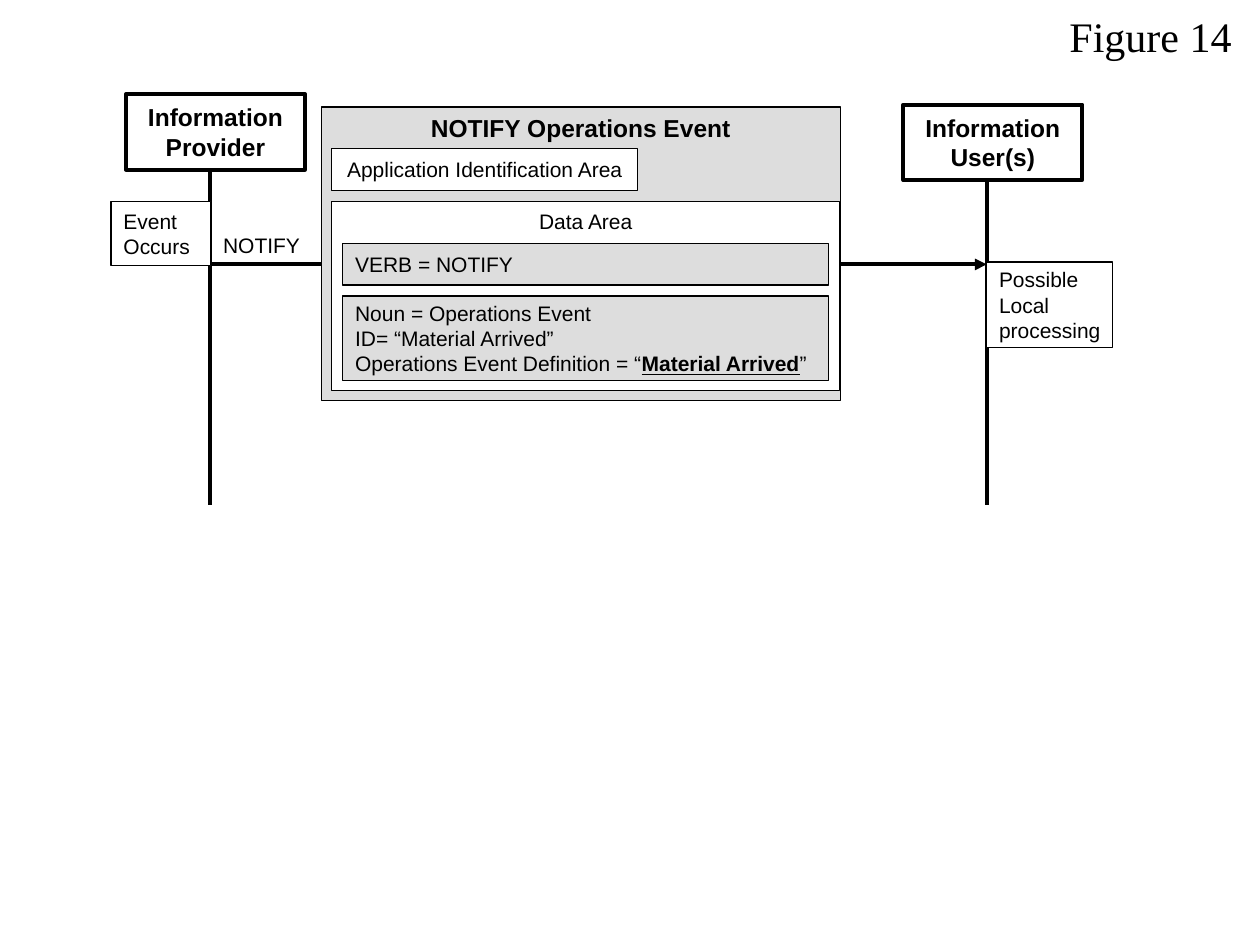
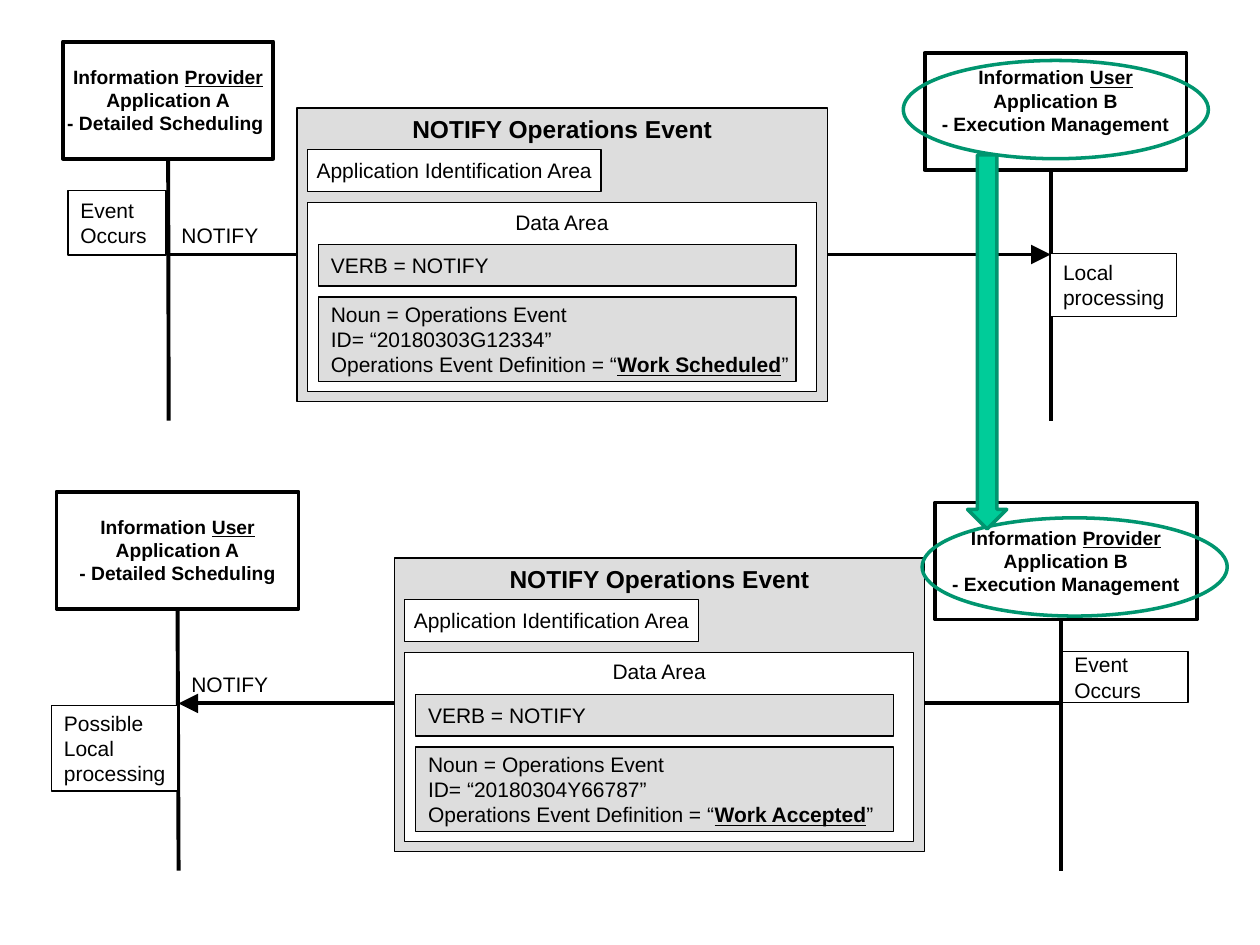
from dataclasses import dataclass

from lxml import etree
from pptx import Presentation
from pptx.dml.color import RGBColor as Rgb
from pptx.enum.shapes import MSO_CONNECTOR as Link, MSO_SHAPE as Kind
from pptx.enum.text import MSO_ANCHOR as Anchor, MSO_AUTO_SIZE as Fit, PP_ALIGN as Align
from pptx.oxml.ns import qn
from pptx.util import Cm, Pt

# Lengths are centimetres. Text between underscores is bold and underlined.
FIGURE = ("Figure 14", (21.31, 0.08, 3.81, 1.27))

ARRIVED = dict(
    heads=[
        dict(lines=["Information Provider"], at=(2.54, 1.9, 3.61, 1.52)),
        dict(lines=["Information User(s)"], at=(18.21, 2.11, 3.61, 1.52)),
    ],
    lives=(4.24, 19.89), end=10.19, msg=5.33, back=False, tip="med",
    notes=[
        (["Possible", "Local", "processing"], (19.89, 5.28, 2.54, 1.73)),
        (["Event", "Occurs"], (2.24, 4.06, 2.01, 1.3)),
    ],
    panel=(6.48, 2.16), widths=(10.46, 6.17, 10.24, 9.8),
    ident="Material Arrived", event="Material Arrived",
)

WIDE = (10.69, 5.92, 10.26, 9.63)

SCHEDULED = dict(
    heads=[
        dict(lines=["Information _Provider_", "Application A", "- Detailed Scheduling "],
             at=(1.27, 0.84, 4.24, 2.36), tight=True),
        dict(lines=["Information _User_", "Application B", "- Execution Management"],
             at=(18.64, 1.07, 5.28, 2.36), tight=True, lift=0.45),
    ],
    lives=(3.4, 21.18), end=8.48, msg=5.13, back=False, tip="lg",
    notes=[
        (["Local", "processing"], (21.18, 5.11, 2.54, 1.27)),
        (["Event", "Occurs"], (1.37, 3.84, 1.98, 1.3)),
    ],
    panel=(5.99, 2.18), widths=WIDE,
    ident="20180303G12334", event="Work Scheduled",
)

ACCEPTED = dict(
    heads=[
        dict(lines=["Information _User_", "Application A", "- Detailed Scheduling"],
             at=(1.14, 9.91, 4.88, 2.36), tight=True),
        dict(lines=["Information _Provider_", "Application B", "- Execution Management"],
             at=(18.85, 10.13, 5.28, 2.36), tight=True),
    ],
    lives=(3.6, 21.38), end=17.55, msg=14.18, back=True, tip="lg",
    notes=[
        (["Possible", "Local", "processing"], (1.04, 14.22, 2.54, 1.73)),
        (["Event", "Occurs"], (21.41, 13.13, 2.54, 1.04)),
    ],
    panel=(7.95, 11.25), widths=WIDE,
    ident="20180304Y66787", event="Work Accepted",
)

RINGS = [(18.21, 1.22, 6.15, 1.98), (18.59, 10.44, 6.15, 1.98)]
TURN = (16.13, 6.5, 7.54, 0.79)


@dataclass(frozen=True)
class Theme:
    ink: Rgb = Rgb(0, 0, 0)
    paper: Rgb = Rgb(255, 255, 255)
    grey: Rgb = Rgb.from_string("DDDDDD")
    green: Rgb = Rgb.from_string("00CC99")
    rim: Rgb = Rgb.from_string("00956F")
    sans: str = "Arial"
    serif: str = "Times New Roman"
    figure: int = 24
    head: int = 14
    body: int = 12
    small: int = 11
    thick: float = 2.25
    ring: float = 2
    thin: float = 0.75


T = Theme()


def cms(at):
    return [Cm(v) for v in at]


def write(frame, lines, size=T.body, bold=False, align=Align.LEFT,
          anchor=Anchor.MIDDLE, wrap=False, face=T.sans):
    frame.word_wrap = wrap
    frame.vertical_anchor = anchor
    for i, line in enumerate(lines):
        para = frame.add_paragraph() if i else frame.paragraphs[0]
        para.alignment = align
        font = para.font
        font.name, font.size, font.bold = face, Pt(size), bold
        font.color.rgb = T.ink
        for j, part in enumerate(line.split("_")):
            if part:
                run = para.add_run()
                run.text = part
                if j % 2:
                    run.font.bold = run.font.underline = True


def draw(shapes, at, kind=Kind.RECTANGLE, fill=T.paper, line=T.ink, width=T.thin):
    shape = shapes.add_shape(kind, *cms(at))
    shape.shadow.inherit = False
    if fill is None:
        shape.fill.background()
    else:
        shape.fill.solid()
        shape.fill.fore_color.rgb = fill
    shape.line.color.rgb = line
    shape.line.width = Pt(width)
    return shape


def box(shapes, at, lines, fill=T.paper, **style):
    shape = draw(shapes, at, fill=fill)
    write(shape.text_frame, lines, **style)


def label(slide, text, at, **style):
    frame = slide.shapes.add_textbox(*cms(at)).text_frame
    write(frame, [text], anchor=Anchor.TOP, **style)
    frame.auto_size = Fit.SHAPE_TO_FIT_TEXT


def rule(slide, start, stop, tip=None):
    """Add a thick line, with an arrowhead of size tip at its end."""
    line = slide.shapes.add_connector(Link.STRAIGHT, *cms(start + stop))
    line.line.color.rgb = T.ink
    line.line.width = Pt(T.thick)
    if tip:
        etree.SubElement(line.line._get_or_add_ln(), qn("a:tailEnd"),
                         type="triangle", w=tip, len=tip)
    etree.SubElement(line._element.spPr, qn("a:effectLst"))
    return line


def head(slide, lines, at, tight=False, lift=0):
    shape = draw(slide.shapes, at, width=T.thick)
    frame = shape.text_frame
    if tight:
        frame.margin_left = frame.margin_right = frame.margin_top = 0
        frame.margin_bottom = Cm(lift)
    write(frame, lines, size=T.small if tight else T.head, bold=True,
          align=Align.CENTER, wrap=not tight)
    return shape


def panel(slide, left, top, widths, ident, event):
    """Draw the nested message areas as one group."""
    full, app, data, row = widths
    noun = ["Noun = Operations Event", f"ID= “{ident}”",
            f"Operations Event Definition = “_{event}_”"]
    title = dict(align=Align.CENTER, anchor=Anchor.TOP)
    parts = [  # dx, dy, width, height, lines, style
        (0, 0, full, 5.92, ["NOTIFY Operations Event"],
         dict(title, fill=T.grey, size=T.head, bold=True)),
        (0.21, 0.84, app, 0.84, ["Application Identification Area"],
         dict(align=Align.CENTER)),
        (0.21, 1.91, data, 3.81, ["Data Area"], title),
        (0.43, 2.75, row, 0.84, ["VERB = NOTIFY"], dict(fill=T.grey)),
        (0.43, 3.81, row, 1.7, noun, dict(fill=T.grey)),
    ]
    group = slide.shapes.add_group_shape()
    for dx, dy, wide, high, lines, style in parts:
        box(group.shapes, (left + dx, top + dy, wide, high), lines, **style)


def flow(slide, heads, lives, end, msg, back, tip, notes, panel_at, **message):
    """Draw one exchange: two heads, their life lines, the arrow and the message."""
    tops = [head(slide, **item) for item in heads]
    ends = [(x, msg) for x in lives]
    rule(slide, *(reversed(ends) if back else ends), tip=tip)
    label(slide, "NOTIFY", (lives[0], msg - 0.76, 2.06, 0.76), align=Align.RIGHT)
    for x, item, top in zip(lives, heads, tops):
        left, up, wide, high = item["at"]
        line = rule(slide, (x, up + high), (x, end))
        if abs(left + wide / 2 - x) < 0.05:
            line.begin_connect(top, 2)
    panel(slide, *panel_at, **message)
    for lines, at in notes:
        box(slide.shapes, at, lines)


def main():
    deck = Presentation()
    deck.slide_width, deck.slide_height = Cm(25.4), Cm(19.05)
    for flows in ([ARRIVED], [SCHEDULED, ACCEPTED]):
        slide = deck.slides.add_slide(deck.slide_layouts[6])
        for item in flows:
            rest = dict(item)
            flow(slide, panel_at=rest.pop("panel"), **rest)

    first, last = deck.slides
    text, at = FIGURE
    label(first, text, at, size=T.figure, face=T.serif, wrap=True)
    for ring in RINGS:
        draw(last.shapes, ring, Kind.OVAL, None, T.rim, T.ring)
    turn = draw(last.shapes, TURN, Kind.RIGHT_ARROW, T.green, T.rim, T.ring)
    turn.rotation = 90
    deck.save("out.pptx")


if __name__ == "__main__":
    main()
